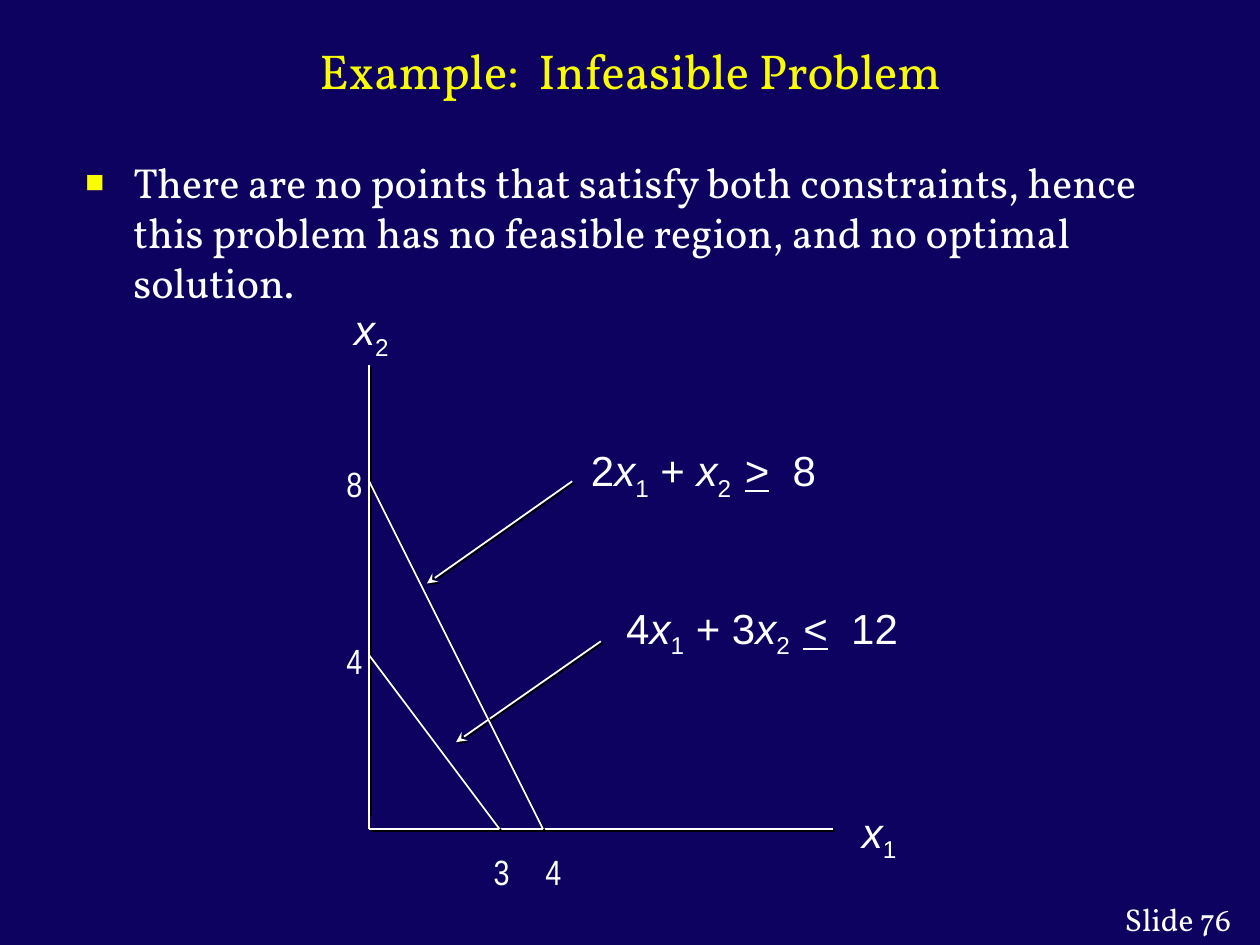
from dataclasses import dataclass

from lxml import etree
from pptx import Presentation
from pptx.dml.color import RGBColor
from pptx.enum.shapes import MSO_CONNECTOR
from pptx.enum.text import MSO_ANCHOR, MSO_AUTO_SIZE, PP_ALIGN
from pptx.oxml.ns import qn
from pptx.util import Inches, Pt

LINE = MSO_CONNECTOR.STRAIGHT
TOP, MIDDLE = MSO_ANCHOR.TOP, MSO_ANCHOR.MIDDLE
LEFT, CENTER, RIGHT = PP_ALIGN.LEFT, PP_ALIGN.CENTER, PP_ALIGN.RIGHT
GROW, FIXED = MSO_AUTO_SIZE.SHAPE_TO_FIT_TEXT, MSO_AUTO_SIZE.NONE

NAVY = RGBColor(0x0D, 0x02, 0x60)
YELLOW = RGBColor(0xFA, 0xFD, 0x00)
CREAM = RGBColor(0xFC, 0xFE, 0xB9)
PEARL = RGBColor(0xFF, 0xFC, 0xFD)
WHITE = RGBColor(0xFF, 0xFF, 0xFF)
BLACK = RGBColor(0x00, 0x00, 0x00)

SERIF, SANS, NARROW = "Vollkorn", "Arial", "Arial Narrow"
WIDTH, HEIGHT = Inches(10), Inches(7.5)
COL, ROW = WIDTH / 100, HEIGHT / 100
UNIT = Inches(3.45) / 10
ZERO_X, ZERO_Y = Inches(2.93), Inches(6.58)


@dataclass(frozen=True)
class Area:
    col: float
    row: float
    cols: float
    rows: float

    def place(self) -> tuple:
        return (round(self.col * COL), round(self.row * ROW),
                round(self.cols * COL), round(self.rows * ROW))


@dataclass(frozen=True)
class Piece:
    text: str
    look: str = ""


@dataclass(frozen=True)
class Label:
    area: Area
    pieces: tuple


@dataclass(frozen=True)
class Stroke:
    start: tuple
    end: tuple
    arrow: bool = False
    shade: bool = True
    color: RGBColor = WHITE


X = Piece("x", "italic")
ONE, TWO = Piece("1", "low"), Piece("2", "low")
TWO_GAP = Piece("2  ", "low")

NAMES = (
    Label(Area(26.7, 31.2, 5.7, 7.2), (X, TWO)),
    Label(Area(67, 84.4, 5.7, 7.2), (X, ONE)),
    Label(Area(48.3, 62.8, 25.5, 7.2),
          (Piece("4"), X, ONE, Piece(" + 3"), X, TWO_GAP, Piece("<", "under"), Piece("  12"))),
    Label(Area(45.5, 46.13, 21.8, 7.2),
          (Piece("2"), X, ONE, Piece(" + "), X, TWO_GAP, Piece(">", "under"), Piece("  8"))),
)
TICKS = (("3", 38.2, 89.33), ("4", 42.3, 89.33), ("4", 26.5, 67.07), ("8", 26.5, 48.27))
STROKES = (
    Stroke((5.33, 4.32), (2, 2), arrow=True),
    Stroke((4.67, 8), (1.33, 5.65), arrow=True),
    Stroke((0, 10.67), (0, 0.33)),
    Stroke((0, 0.33), (0, 0), shade=False, color=CREAM),
    Stroke((0, 0), (10.67, 0)),
    Stroke((0, 4), (3, 0)),
    Stroke((0, 8), (4, 0)),
)


def add_node(root, tag: str, **attrs: str):
    return etree.SubElement(root, qn(tag), attrs)


def add_bullet(para) -> None:
    props = para._p.get_or_add_pPr()
    props.set("marL", str(Inches(0.38)))
    props.set("indent", str(-Inches(0.38)))
    add_node(add_node(props, "a:buClr"), "a:srgbClr", val=str(YELLOW))
    add_node(props, "a:buSzPct", val="75000")
    add_node(props, "a:buFont", typeface=SANS)
    add_node(props, "a:buChar", char="■")


def write(shape, *pieces: Piece, size: float, font: str, color: RGBColor = WHITE,
          align=LEFT, anchor=TOP, wrap: bool = False, fit=GROW,
          pad: float = 0.1, bullet: bool = False) -> None:
    frame = shape.text_frame
    frame.word_wrap, frame.auto_size = wrap, fit
    frame.vertical_anchor = anchor
    frame.margin_left = frame.margin_right = Inches(pad)
    frame.margin_top = frame.margin_bottom = Inches(pad / 2)
    para = frame.paragraphs[0]
    if bullet:
        add_bullet(para)
    para.alignment = align
    for piece in pieces:
        run = para.add_run()
        run.text = piece.text
        run.font.size, run.font.name = Pt(size), font
        run.font.color.rgb = color
        if piece.look == "italic":
            run.font.italic = True
        elif piece.look == "under":
            run.font.underline = True
        elif piece.look == "low":
            run._r.get_or_add_rPr().set("baseline", "-25000")


def add_box(slide, area: Area):
    return slide.shapes.add_textbox(*area.place())


def draw(slide, stroke: Stroke) -> None:
    ends = [spot for x, y in (stroke.start, stroke.end)
            for spot in (round(ZERO_X + x * UNIT), round(ZERO_Y - y * UNIT))]
    line = slide.shapes.add_connector(LINE, *ends)
    line.line.color.rgb = stroke.color
    line.line.width = Pt(1)
    props = line._element.spPr
    if stroke.arrow:
        add_node(props.find(qn("a:ln")), "a:tailEnd", type="stealth")
    effect = add_node(props, "a:effectLst")
    if stroke.shade:
        shade = add_node(effect, "a:outerShdw", dist=str(Pt(1.4)),
                         dir="2700000", algn="ctr", rotWithShape="0")
        add_node(shade, "a:srgbClr", val=str(BLACK))


def main() -> None:
    deck = Presentation()
    deck.slide_width, deck.slide_height = WIDTH, HEIGHT
    slide = deck.slides.add_slide(deck.slide_layouts[5])
    slide.background.fill.solid()
    slide.background.fill.fore_color.rgb = NAVY

    title = slide.shapes.title
    title.left, title.top, title.width, title.height = Area(5.8, 1.47, 88.4, 11.87).place()
    write(title, Piece("Example:  Infeasible Problem"), size=28, font=SERIF, color=YELLOW,
          align=CENTER, anchor=MIDDLE, wrap=True, fit=FIXED)
    write(add_box(slide, Area(88.1, 94.53, 10.6, 5.33)), Piece("Slide 76"),
          size=18, font=SERIF, color=PEARL, align=RIGHT, wrap=True)
    write(add_box(slide, Area(5.8, 15.87, 88.6, 72.93)),
          Piece("There are no points that satisfy both constraints, hence this problem "
                "has no feasible region, and no optimal solution."),
          size=24, font=SERIF, wrap=True, fit=FIXED, bullet=True)

    for name in NAMES:
        write(add_box(slide, name.area), *name.pieces, size=24, font=SANS, pad=0.14)
    for stroke in STROKES:
        draw(slide, stroke)
    for text, col, row in TICKS:
        write(add_box(slide, Area(col, row, 3.3, 5.73)), Piece(text), size=20, font=NARROW)
    deck.save("out.pptx")


if __name__ == "__main__":
    main()
